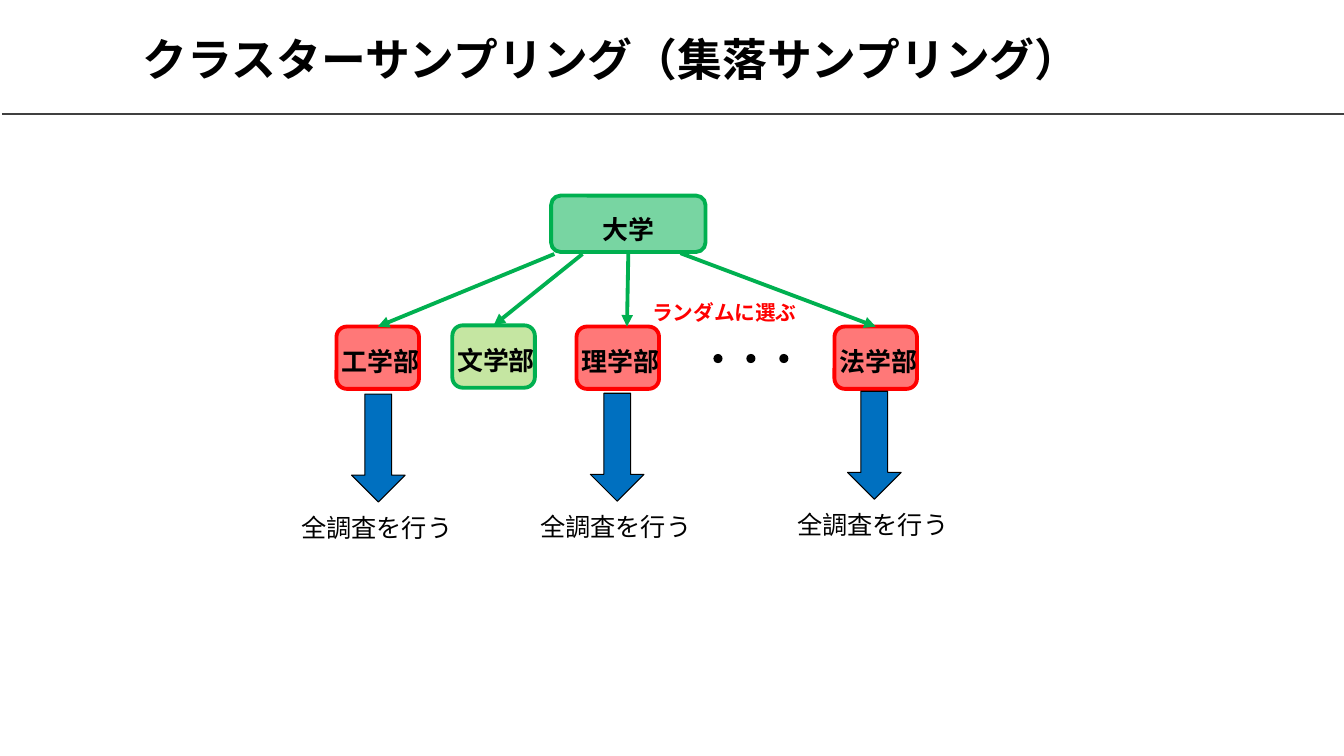
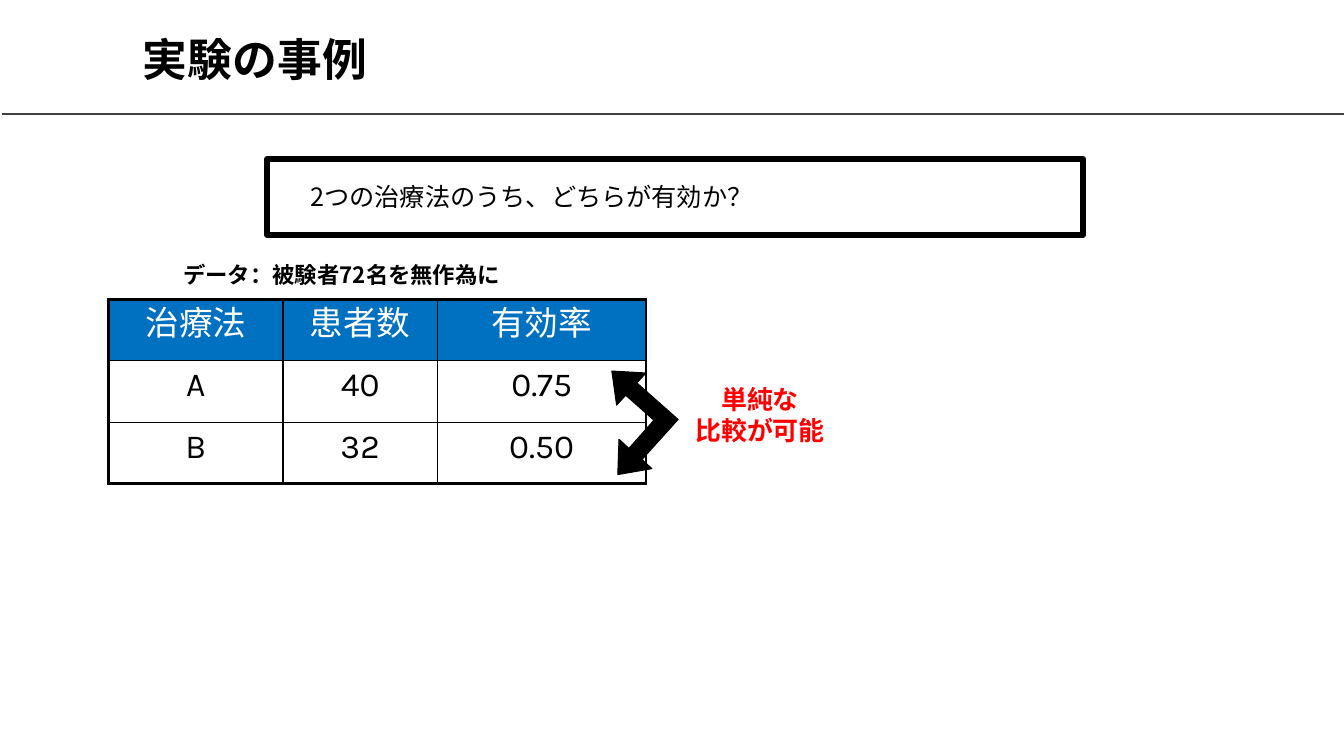
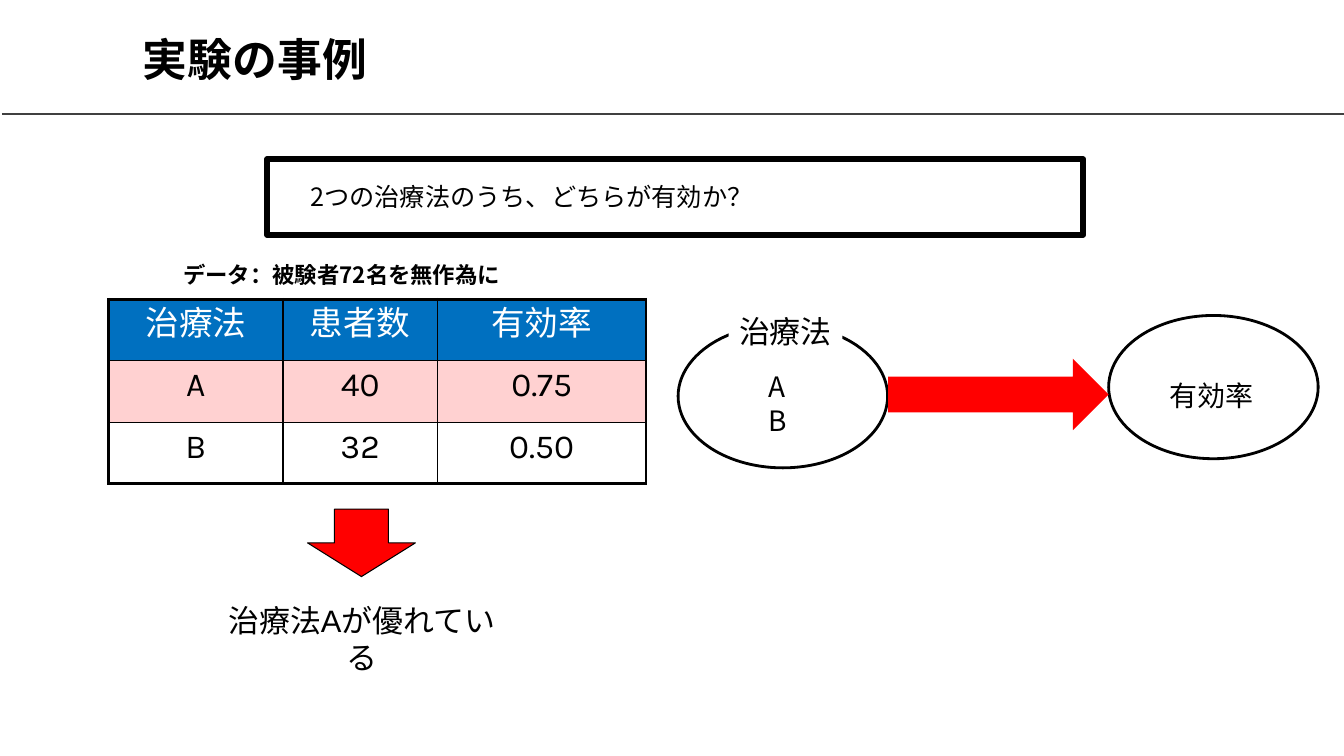
from pptx import Presentation
from pptx import util as u
from pptx.dml.color import RGBColor
from pptx.enum import shapes, text
from pptx.oxml import parse_xml
from pptx.oxml.ns import nsdecls, qn

KIND = shapes.MSO_SHAPE
FONT, TABLE_FONT = "Noto Sans CJK JP", "Karla"
BLACK, WHITE, RED = "000000", "FFFFFF", "FF0000"
GREEN, LIME, BLUE, RULE = "00B050", "92D050", "0070C0", "404040"


def color(code):
    return RGBColor.from_string(code)


def add_xml(parent, tag, attributes="", inner="", index=None):
    node = parse_xml(f"<a:{tag} {nsdecls('a')} {attributes}>{inner}</a:{tag}>")
    parent.insert(len(parent) if index is None else index, node)


def paint(owner, element, fill, alpha=None):
    if fill is None:
        owner.fill.background()
        return
    owner.fill.solid()
    owner.fill.fore_color.rgb = color(fill)
    if alpha:
        add_xml(next(element.iter(qn("a:srgbClr"))), "alpha", f'val="{alpha * 1000}"')


def write(frame, content, size=18, ink=BLACK, bold=False, font=FONT, center=True,
          wrap=True, anchor=text.MSO_ANCHOR.TOP, spacing=None):
    frame.word_wrap = wrap
    frame.vertical_anchor = anchor
    for number, line in enumerate(content.split("\n")):
        paragraph = frame.add_paragraph() if number else frame.paragraphs[0]
        paragraph.alignment = text.PP_ALIGN.CENTER if center else text.PP_ALIGN.LEFT
        paragraph.line_spacing = spacing
        run = paragraph.add_run()
        run.text = line
        run.font.size = u.Pt(size)
        run.font.bold = bold
        run.font.name = font
        run.font.color.rgb = color(ink)
        add_xml(run.font._element, "ea", f'typeface="{font}"')


class Deck:
    """Hold the shared style and the slide being built."""

    def __init__(self):
        self.show = Presentation()
        self.show.slide_width, self.show.slide_height = u.Cm(33.87), u.Cm(19.05)
        self.slide = None

    def page(self, title):
        self.slide = self.show.slides.add_slide(self.show.slide_layouts[6])
        self.line((0.05, 2.87), (33.87, 2.87), RULE, 1.5)
        self.label(title, 3.35, 0.41, 29.36, 2.13, size=32, bold=True, center=False,
                   anchor=text.MSO_ANCHOR.MIDDLE)

    def label(self, content, left, top, width, height, **style):
        box = self.slide.shapes.add_textbox(*map(u.Cm, (left, top, width, height)))
        write(box.text_frame, content, **style)

    def finish(self, shape, fill, alpha, edge, weight):
        shape.shadow.inherit = False
        paint(shape, shape._element, fill, alpha)
        if edge:
            shape.line.color.rgb = color(edge)
            shape.line.width = u.Pt(weight)
        else:
            shape.line.fill.background()
        return shape

    def shape(self, kind, left, top, width, height, fill=None, alpha=None,
              edge=None, weight=0.75):
        shape = self.slide.shapes.add_shape(kind, *map(u.Cm, (left, top, width, height)))
        return self.finish(shape, fill, alpha, edge, weight)

    def outline(self, points, fill, edge):
        corners = [(u.Cm(x), u.Cm(y)) for x, y in points]
        builder = self.slide.shapes.build_freeform(*corners[0])
        builder.add_line_segments(corners[1:], close=True)
        return self.finish(builder.convert_to_shape(), fill, None, edge, 0.75)

    def line(self, start, end, ink, weight, arrow=False):
        line = self.slide.shapes.add_connector(
            shapes.MSO_CONNECTOR.STRAIGHT, *map(u.Cm, start + end))
        line.line.color.rgb = color(ink)
        line.line.width = u.Pt(weight)
        if arrow:
            add_xml(line.line._get_or_add_ln(), "tailEnd", 'type="triangle"')
        add_xml(line._element.spPr, "effectLst")
        return line

    def table(self, rows, left, top, widths, height, highlight=None):
        table = self.slide.shapes.add_table(
            len(rows), len(widths), u.Cm(left), u.Cm(top),
            u.Cm(sum(widths)), u.Cm(height * len(rows))).table
        table.first_row = table.horz_banding = False
        for column, width in zip(table.columns, widths):
            column.width = u.Cm(width)
        for r, values in enumerate(rows):
            table.rows[r].height = u.Cm(height)
            for c, value in enumerate(values):
                cell = table.cell(r, c)
                if r == 0:
                    paint(cell, cell._tc, BLUE)
                elif r == highlight:
                    paint(cell, cell._tc, RED, 18)
                else:
                    paint(cell, cell._tc, None)
                outer = {"lnL": c == 0, "lnR": c == len(widths) - 1,
                         "lnT": r == 0, "lnB": r == len(rows) - 1}
                for index, (side, thick) in enumerate(outer.items()):
                    add_xml(cell._tc.tcPr, side, f'w="{u.Pt(2.25 if thick else 1)}"',
                            f'<a:solidFill><a:srgbClr val="{BLACK}"/></a:solidFill>', index)
                write(cell.text_frame, value, size=24, font=TABLE_FONT,
                      ink=BLACK if r else WHITE)


def cluster_sampling(deck):
    deck.page("クラスターサンプリング（集落サンプリング）")
    university = deck.shape(KIND.ROUNDED_RECTANGLE, 13.89, 4.93, 3.89, 1.42,
                            GREEN, 53, GREEN, 2.75)
    deck.label("大学", 14.48, 5.26, 2.72, 1.04, size=18.5, bold=True)
    faculties = [
        ("工学部", 8.48, 8.23, RED, RED, (13.97, 6.4)),
        ("文学部", 11.4, 8.2, LIME, GREEN, (14.68, 6.4)),
        ("理学部", 14.53, 8.23, RED, RED, None),
        ("法学部", 21.03, 8.23, RED, RED, (17.15, 6.38)),
    ]
    for name, left, top, fill, edge, start in faculties:
        faculty = deck.shape(KIND.ROUNDED_RECTANGLE, left, top, 2.08, 1.57,
                             fill, 53, edge, 2.75)
        deck.label(name, left - 0.26, top + 0.36, 2.72, 1.04, size=18.5, bold=True)
        branch = deck.line(start or (15.82, 6.35), (15.8, 8.23), GREEN, 2.75, arrow=True)
        if start:
            branch.end_connect(faculty, 0)
        else:
            branch.begin_connect(university, 2)
    for step in range(3):
        deck.shape(KIND.OVAL, 17.98 + 0.83 * step, 8.92, 0.23, 0.23, BLACK)
    deck.label("ランダムに選ぶ", 15.6, 7.42, 5.31, 0.89, size=14.8, ink=RED, bold=True)
    for left, top in ((8.86, 9.93), (14.88, 9.91), (21.36, 9.86)):
        deck.shape(KIND.DOWN_ARROW, left, top, 1.35, 2.72, BLUE, edge=BLACK)
        deck.label("全調査を行う", left - 1.55, top + 2.85, 4.37, 1.02, wrap=False)


def trial(deck, highlight=None):
    deck.page("実験の事例")
    rows = [("治療法", "患者数", "有効率"), ("A", "40", "0.75"), ("B", "32", "0.50")]
    deck.table(rows, 2.74, 7.54, (4.39, 3.89, 5.26), 1.55, highlight)
    deck.label("2つの治療法のうち、どちらが有効か？", 7.57, 4.52, 18.11, 1.32,
               center=False, spacing=0.9)
    deck.label("データ：被験者72名を無作為に", 4.37, 6.45, 14.33, 0.94,
               size=16, bold=True, center=False)
    deck.shape(KIND.RECTANGLE, 6.73, 4.01, 20.57, 1.91, edge=BLACK, weight=4)


def trial_comparison(deck):
    trial(deck)
    deck.outline([(15.42, 9.35), (15.54, 10.21), (15.77, 9.96), (16.48, 10.59),
                  (15.85, 11.3), (15.6, 11.07), (15.57, 11.96), (16.43, 11.81),
                  (16.18, 11.58), (17.09, 10.57), (16.05, 9.65), (16.28, 9.4)],
                 BLACK, BLACK)
    deck.label("単純な\n比較が可能", 17.25, 9.55, 3.81, 1.83,
               size=18.5, ink=RED, bold=True, wrap=False)


def trial_conclusion(deck):
    trial(deck, highlight=1)
    deck.label("治療法Aが優れている", 5.28, 15.04, 7.67, 1.19, size=22.1, font="Arial")
    deck.shape(KIND.DOWN_ARROW, 7.75, 12.83, 2.72, 1.7, RED, edge=BLACK)
    deck.label("A\nB", 19.1, 9.19, 0.99, 1.96, size=20, wrap=False)
    deck.shape(KIND.OVAL, 17.09, 8.18, 5.28, 3.61, edge=BLACK, weight=2)
    cause = deck.shape(KIND.RECTANGLE, 18.36, 7.75, 2.87, 1.19, WHITE)
    write(cause.text_frame, "治療法", size=22.1, wrap=False)
    deck.shape(KIND.OVAL, 27.94, 7.95, 5.28, 3.61, edge=BLACK, weight=2)
    deck.label("有効率", 29.21, 9.42, 2.64, 1.12, size=20, wrap=False)
    deck.shape(KIND.RIGHT_ARROW, 22.38, 9.04, 5.56, 1.8, RED)


def main():
    deck = Deck()
    cluster_sampling(deck)
    trial_comparison(deck)
    trial_conclusion(deck)
    deck.show.save("out.pptx")


if __name__ == "__main__":
    main()
